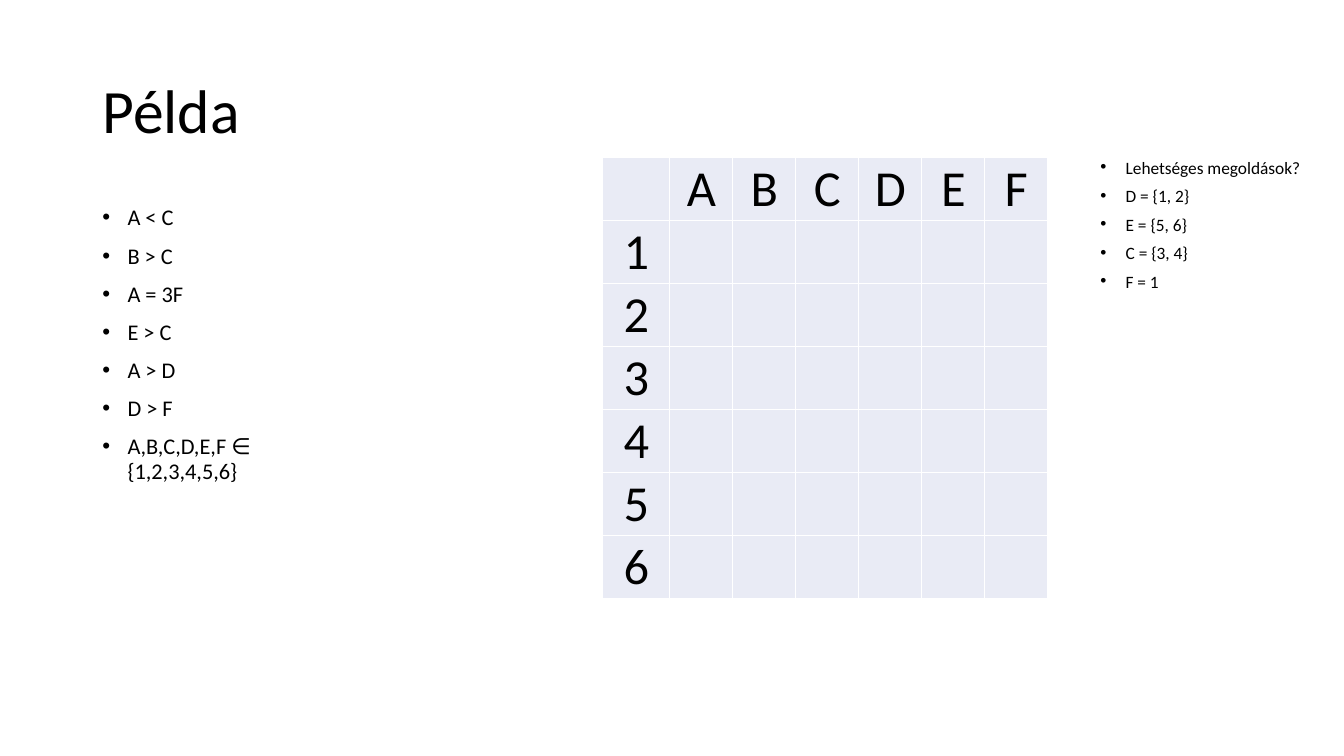
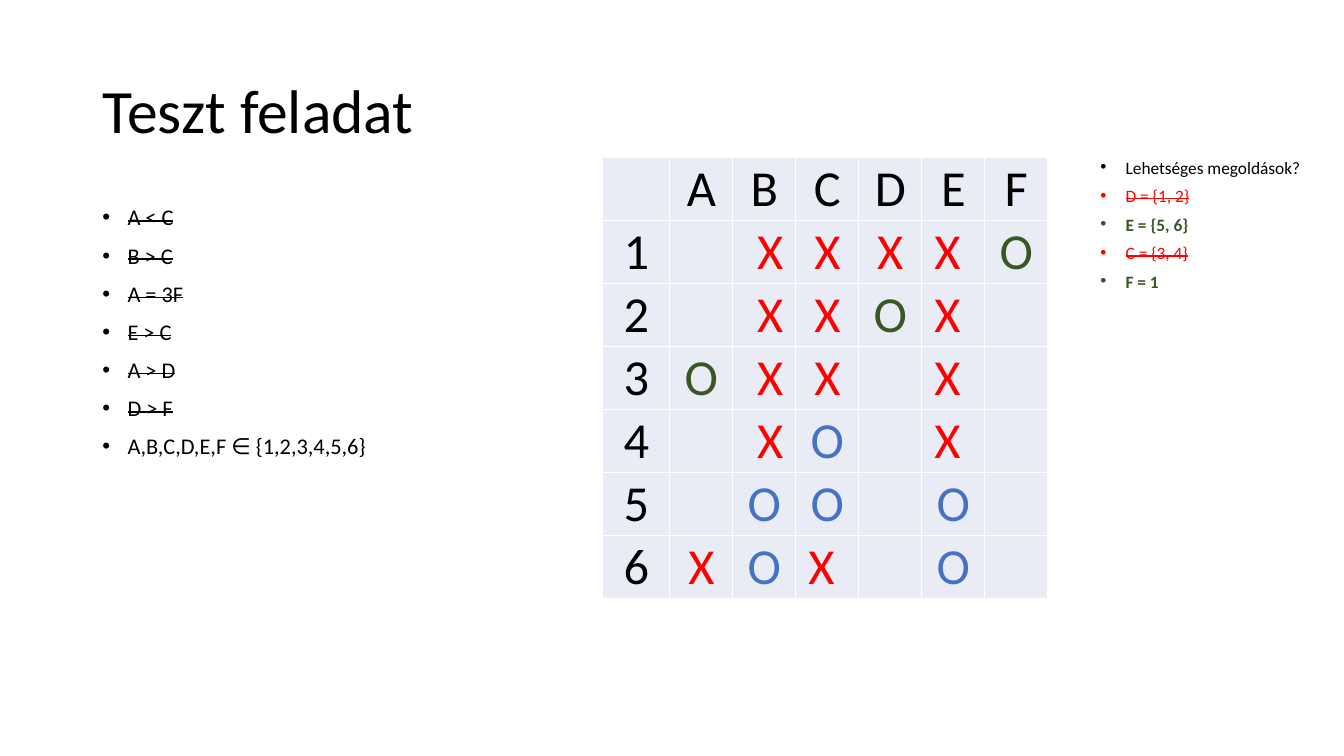
from pptx import Presentation
from pptx.dml.color import RGBColor as RGB
from pptx.enum.text import MSO_ANCHOR as Anchor, PP_ALIGN as Align
from pptx.oxml import parse_xml
from pptx.oxml.ns import nsdecls
from pptx.util import Pt

BLACK = RGB(0x00, 0x00, 0x00)
WHITE = RGB(0xFF, 0xFF, 0xFF)
RED = RGB(0xFF, 0x00, 0x00)
GREEN = RGB(0x38, 0x57, 0x23)
BLUE = RGB(0x44, 0x72, 0xC4)
PALE = RGB(0xE9, 0xEB, 0xF5)
FONT = "Calibri"

# Mark code: letter, colour, extra left margin, extra right margin
MARKS = {
    "x": ("X", RED, 0, 0),
    "r": ("X", RED, 8.5, 0),
    "l": ("X", RED, 0, 8.5),
    "g": ("O", GREEN, 0, 0),
    "b": ("O", BLUE, 0, 0),
}

# Item style: colour, bold, strike
PLAIN = (BLACK, False, False)
DONE = (BLACK, False, True)
WRONG = (RED, False, True)
RIGHT = (GREEN, True, False)

RULES = ["A < C", "B > C", "A = 3F", "E > C", "A > D", "D > F",
         "A,B,C,D,E,F ∈ {1,2,3,4,5,6}"]
HINTS = ["Lehetséges megoldások?", "D = {1, 2}", "E = {5, 6}",
         "C = {3, 4}", "F = 1"]

# Title, width of the rules, rule styles, hint styles, marks by row
SLIDES = [
    ("Példa", 201, [PLAIN] * 7, [PLAIN] * 5, ["......"] * 6),
    ("Teszt feladat", 228, [DONE] * 6 + [PLAIN],
     [PLAIN, WRONG, RIGHT, WRONG, RIGHT],
     [".rxxlg", ".rxgl.", "grx.l.", ".rb.l.", ".bb.b.", "xbl.b."]),
]


def put(para, text, size, color=BLACK, bold=False, strike=False):
    run = para.add_run()
    run.text = text
    font = run.font
    font.name, font.size, font.bold = FONT, Pt(size), bold
    font.color.rgb = color
    if strike:
        run._r.get_or_add_rPr().set("strike", "sngStrike")


def bullets(slide, box, items, styles, size, pitch):
    frame = slide.shapes.add_textbox(*map(Pt, box)).text_frame
    frame.word_wrap = True
    for n, (text, style) in enumerate(zip(items, styles)):
        para = frame.add_paragraph() if n else frame.paragraphs[0]
        para.line_spacing = pitch
        para.space_before = Pt(10)
        props = para._p.get_or_add_pPr()
        props.set("marL", str(Pt(18)))
        props.set("indent", str(-Pt(18)))
        for tag in ('buFont {} typeface="Arial"', 'buChar {} char="•"'):
            props.append(parse_xml(f"<a:{tag.format(nsdecls('a'))}/>"))
        put(para, text, size, *style)


deck = Presentation()
deck.slide_width, deck.slide_height = Pt(960), Pt(540)

for name, wide, done, found, marks in SLIDES:
    slide = deck.slides.add_slide(deck.slide_layouts[5])

    # Title
    title = slide.shapes.title
    title.left, title.top = Pt(66), Pt(28.75)
    title.width, title.height = Pt(808.5), Pt(104.5)
    title.text_frame.vertical_anchor = Anchor.MIDDLE
    para = title.text_frame.paragraphs[0]
    para.alignment = Align.LEFT
    para.line_spacing = 0.9
    put(para, name, 44)

    # Rules on the left
    bullets(slide, (66, 144, wide, 223), RULES, done, 16, 0.9)

    # Grid of letters and numbers
    table = slide.shapes.add_table(
        7, 7, Pt(430.5), Pt(112.5), Pt(318), Pt(315)).table
    table.first_row = table.horz_banding = False
    for n in range(7):
        table.columns[n].width = Pt(45 if n else 48)
        table.rows[n].height = Pt(45)
    for row in range(7):
        for col in range(7):
            text, color, left, right = "", BLACK, 0, 0
            if row and col:
                text, color, left, right = MARKS.get(
                    marks[row - 1][col - 1], ("", BLACK, 0, 0))
            elif row or col:
                text = str(row) if row else "ABCDEF"[col - 1]
            cell = table.cell(row, col)
            cell.margin_left, cell.margin_right = Pt(0.7 + left), Pt(0.7 + right)
            cell.margin_top, cell.margin_bottom = Pt(0.7), Pt(0)
            cell.vertical_anchor = Anchor.MIDDLE
            props = cell._tc.get_or_add_tcPr()
            for side in "LRTB":
                props.append(parse_xml(
                    f'<a:ln{side} {nsdecls("a")} w="{Pt(1)}"><a:solidFill>'
                    f'<a:srgbClr val="{WHITE}"/></a:solidFill></a:ln{side}>'))
            cell.fill.solid()
            cell.fill.fore_color.rgb = PALE
            if text:
                para = cell.text_frame.paragraphs[0]
                para.alignment = Align.CENTER
                put(para, text, 36, color)

    # Hints on the right
    bullets(slide, (779, 112.5, 158, 113), HINTS, found, 12.4, 0.7)

deck.save("out.pptx")
